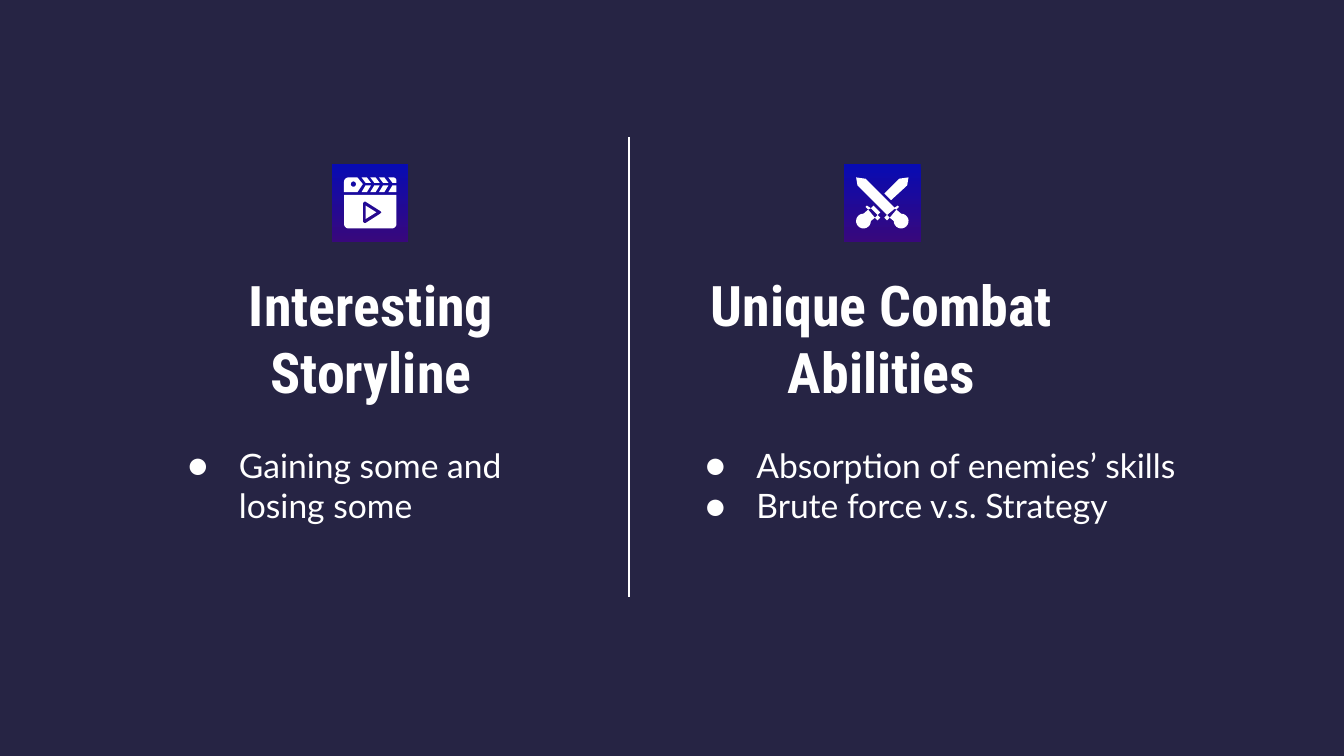
import math

import lxml.etree
import pptx
import pptx.dml.color
import pptx.enum.shapes
import pptx.enum.text
import pptx.oxml
import pptx.oxml.ns
import pptx.util

Inches = pptx.util.Inches
qn = pptx.oxml.ns.qn

COLORS = {
    "background": "262444",
    "light": "FFFFFF",
    "tile_top": "070BB3",
    "tile_bottom": "38087C",
}
HEADING_FONT, BODY_FONT = "Roboto Condensed", "Lato"


def arc(center_x, center_y, radius, start, end, steps=16):
    angles = [math.radians(start + (end - start) * i / steps) for i in range(steps + 1)]
    return [(center_x + radius * math.cos(a), center_y + radius * math.sin(a)) for a in angles]


def shifted(points, offset):
    return [(x + offset, y) for x, y in points]


def mirrored(points):
    return [(39 - x, y) for x, y in points]


upper_stripe = [(13, 0), (16, 4), (20, 4), (17, 0)]
lower_stripe = [(16, 6), (13, 11), (17, 11), (20, 6)]
clapperboard = [
    [
        [(0, 13), *arc(3.5, 34.5, 3.5, 180, 90), *arc(35.5, 34.5, 3.5, 90, 0), (39, 13)],
        [(14, 19), (15, 18), (16, 18), (27, 25), (28, 26), (27, 27), (16, 34), (15, 34), (14, 33)],
    ],
    [[(16, 21), (16, 31), (24, 26)]],
    *[[shifted(stripe, 6.5 * i)] for stripe in (upper_stripe, lower_stripe) for i in range(3)],
    [[(33, 0), (36, 4), (39, 4), *arc(36.5, 2.5, 2.5, 0, -90)]],
    [[(36, 6), (33, 11), (39, 11), (39, 6)]],
    [[*arc(3.5, 3.5, 3.5, 270, 180), (0, 11), (10, 11), (14, 5), (10, 0)], arc(7, 5, 2, 0, 360)],
]

hilt = [
    [(9, 24), *arc(5.5, 32.5, 5.5, -90, -360), (14, 30)],
    [(8, 21), (7, 22), (9, 24), (11, 23)],
    [(16, 28), (14, 30), (16, 32), (18, 30)],
]
crossed_swords = [
    [[(13, 21), (11, 23), (16, 28), (18, 26)]],
    [[(39, 0), (32, 1), (21, 12), (26, 17), (38, 6)]],
    [[(0, 0), (1, 6), (23, 28), (29, 23), (7, 1)]],
    *[[part] for part in hilt],
    *[[mirrored(part)] for part in hilt],
]

COLUMNS = [
    {
        "heading": "Interesting Storyline",
        "heading_box": (1.04, 1.91, 3.44, 1.1),
        "points": ["Gaining some and losing some"],
        "points_box": (1.18, 3.21, 3.16, 1.22),
        "icon": clapperboard,
        "tile_left": 2.47,
    },
    {
        "heading": "Unique Combat Abilities",
        "heading_box": (4.88, 1.91, 3.36, 1.1),
        "points": ["Absorption of enemies’ skills", "Brute force v.s. Strategy"],
        "points_box": (5.03, 3.21, 4.19, 1.04),
        "icon": crossed_swords,
        "tile_left": 6.28,
    },
]
SLIDE_WIDTH = 10
SLIDE_HEIGHT = SLIDE_WIDTH * 9 / 16
TILE_TOP, TILE_WIDTH, TILE_HEIGHT = 1.22, 0.57, 0.58
DIVIDER = (4.68, 1.02, 4.68, 4.44)


def rgb(name):
    return pptx.dml.color.RGBColor.from_string(COLORS[name])


def add_bullet(paragraph, font):
    properties = paragraph._p.get_or_add_pPr()
    properties.set("marL", str(Inches(0.5)))
    properties.set("indent", str(Inches(-0.38)))
    bullet_color = lxml.etree.SubElement(properties, qn("a:buClr"))
    lxml.etree.SubElement(bullet_color, qn("a:srgbClr"), val=COLORS["light"])
    lxml.etree.SubElement(properties, qn("a:buFont"), typeface=font)
    lxml.etree.SubElement(properties, qn("a:buChar"), char="●")


def write_text(holder, lines, *, box, font, size, bold=False, align="LEFT", bullets=False):
    holder.left, holder.top, holder.width, holder.height = map(Inches, box)
    frame = holder.text_frame
    frame.word_wrap = True
    frame.auto_size = pptx.enum.text.MSO_AUTO_SIZE.NONE
    frame.vertical_anchor = pptx.enum.text.MSO_ANCHOR.TOP
    frame.margin_left = frame.margin_right = Inches(0.1)
    frame.margin_top = frame.margin_bottom = Inches(0.1)
    frame.text = "\n".join(lines)
    for paragraph in frame.paragraphs:
        if bullets:
            add_bullet(paragraph, font)
        paragraph.alignment = getattr(pptx.enum.text.PP_ALIGN, align)
        paragraph.font.name = font
        paragraph.font.size = pptx.util.Pt(size)
        paragraph.font.bold = bold
        paragraph.font.color.rgb = rgb("light")


def add_tile(slide, left):
    tile = slide.shapes.add_shape(
        pptx.enum.shapes.MSO_SHAPE.RECTANGLE,
        *map(Inches, (left, TILE_TOP, TILE_WIDTH, TILE_HEIGHT)),
    )
    tile.shadow.inherit = False
    tile.line.fill.background()
    tile.fill.gradient()
    tile.fill.gradient_angle = 270
    for stop, name in zip(tile.fill.gradient_stops, ("tile_top", "tile_bottom")):
        stop.color.rgb = rgb(name)


def add_icon(slide, pieces, left, top):
    icon = slide.shapes.add_group_shape()
    for contours in pieces:
        placed = [
            [(Inches(left + x / 100), Inches(top + y / 100)) for x, y in contour]
            for contour in contours
        ]
        outline = icon.shapes.build_freeform(*placed[0][0])
        outline.add_line_segments(placed[0][1:])
        for contour in placed[1:]:
            outline.move_to(*contour[0])
            outline.add_line_segments(contour[1:])
        piece = outline.convert_to_shape()
        piece.shadow.inherit = False
        piece.fill.solid()
        piece.fill.fore_color.rgb = rgb("light")
        piece.line.fill.background()


def add_divider(slide):
    divider = slide.shapes.add_connector(
        pptx.enum.shapes.MSO_CONNECTOR.STRAIGHT, *map(Inches, DIVIDER)
    )
    divider.line.color.rgb = rgb("light")
    divider.line.width = pptx.util.Pt(1.5)
    lxml.etree.SubElement(divider._element.spPr, qn("a:effectLst"))


def main():
    deck = pptx.Presentation()
    deck.slide_width, deck.slide_height = Inches(SLIDE_WIDTH), Inches(SLIDE_HEIGHT)
    slide = deck.slides.add_slide(deck.slide_layouts[5])
    slide.background.fill.solid()
    slide.background.fill.fore_color.rgb = rgb("background")

    for number, column in enumerate(COLUMNS):
        heading = slide.shapes.add_textbox(0, 0, 0, 0) if number else slide.shapes.title
        write_text(heading, [column["heading"]], box=column["heading_box"],
                   font=HEADING_FONT, size=30, bold=True, align="CENTER")
        points = slide.shapes.add_textbox(0, 0, 0, 0)
        write_text(points, column["points"], box=column["points_box"],
                   font=BODY_FONT, size=18, bullets=True)
        add_tile(slide, column["tile_left"])
        add_icon(slide, column["icon"], column["tile_left"] + 0.09, TILE_TOP + 0.1)

    add_divider(slide)
    deck.save("out.pptx")


if __name__ == "__main__":
    main()
